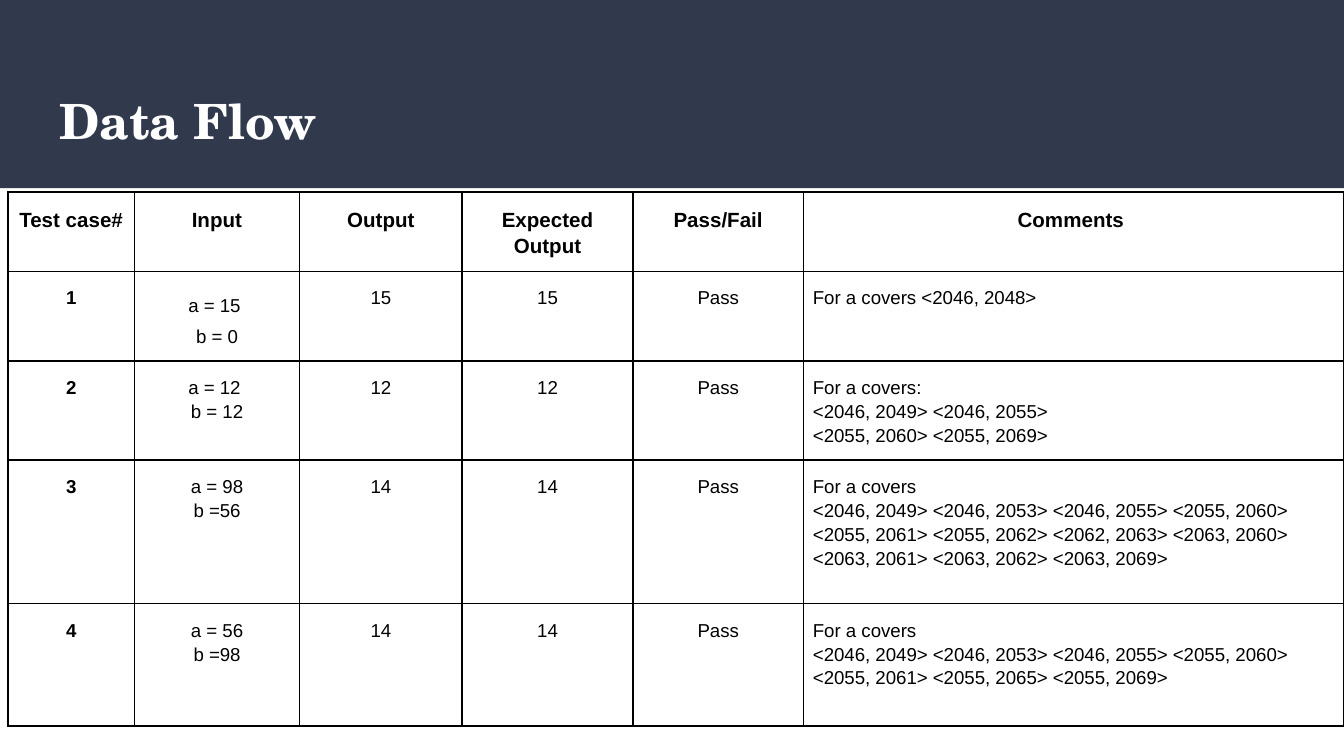
from copy import deepcopy
from dataclasses import dataclass

from lxml.etree import SubElement
from pptx import Presentation
from pptx.dml.color import RGBColor
from pptx.enum.shapes import MSO_SHAPE
from pptx.enum.text import MSO_ANCHOR, PP_ALIGN
from pptx.oxml.ns import qn
from pptx.slide import Slide
from pptx.table import _Cell
from pptx.text.text import TextFrame
from pptx.util import Inches, Pt


@dataclass(frozen=True)
class Theme:
    """Colours, fonts and type sizes of the slide."""

    band: str = "31394D"
    light: str = "FFFFFF"
    ink: str = "000000"
    title_font: str = "TeX Gyre Schola"
    body_font: str = "Arial"
    title_size: float = 26
    header_size: float = 11
    body_size: float = 10
    border_width: float = 1


@dataclass(frozen=True)
class TestCase:
    """One row of the test table."""

    number: int
    inputs: str
    output: int
    comments: str
    input_spacing: float = 1.15


THEME = Theme()
HEADERS = ("Test case#", "Input", "Output", "Expected Output", "Pass/Fail", "Comments ")
COLUMN_WIDTHS = (0.94, 1.23, 1.21, 1.27, 1.27, 4.02)
ROW_HEIGHTS = (0.56, 0.58, 0.7, 1.07, 0.91)
TEST_CASES = (
    TestCase(1, "a = 15 \nb = 0", 15, "For a covers <2046, 2048>", 1.5),
    TestCase(
        2, "a = 12 \nb = 12", 12,
        "For a covers:\n<2046, 2049> <2046, 2055> \n<2055, 2060> <2055, 2069>",
    ),
    TestCase(
        3, "a = 98\nb =56", 14,
        "For a covers\n<2046, 2049> <2046, 2053> <2046, 2055> <2055, 2060> "
        "<2055, 2061> <2055, 2062> <2062, 2063> <2063, 2060> "
        "<2063, 2061> <2063, 2062> <2063, 2069>",
    ),
    TestCase(
        4, "a = 56\nb =98", 14,
        "For a covers\n<2046, 2049> <2046, 2053> <2046, 2055> <2055, 2060> "
        "<2055, 2061> <2055, 2065> <2055, 2069>",
    ),
)


def write_text(
    frame: TextFrame,
    text: str,
    *,
    size: float = THEME.body_size,
    font: str = THEME.body_font,
    color: str = THEME.ink,
    bold: bool = False,
    align: PP_ALIGN = PP_ALIGN.CENTER,
    line_spacing: float = 1.15,
    space: float = 12,
) -> None:
    """Fill a text frame with one formatted paragraph."""
    paragraph = frame.paragraphs[0]
    paragraph.text = text
    paragraph.alignment = align
    paragraph.line_spacing = line_spacing
    paragraph.space_before = paragraph.space_after = Pt(space)
    for run in paragraph.runs:
        run.font.name = font
        run.font.size = Pt(size)
        run.font.bold = bold
        run.font.color.rgb = RGBColor.from_string(color)
    for line_break in paragraph._p.findall(qn("a:br")):
        line_break.append(deepcopy(paragraph.runs[0]._r.rPr))


def format_cell(cell: _Cell) -> None:
    """Give a cell its margins, thin borders and plain fill."""
    cell.margin_left = cell.margin_right = Inches(0.07)
    cell.margin_top = cell.margin_bottom = Inches(0.1)
    cell.vertical_anchor = MSO_ANCHOR.TOP
    properties = cell._tc.get_or_add_tcPr()
    for side in ("a:lnL", "a:lnR", "a:lnT", "a:lnB"):
        line = SubElement(properties, qn(side), w=str(Pt(THEME.border_width)))
        fill = SubElement(line, qn("a:solidFill"))
        SubElement(fill, qn("a:srgbClr"), val=THEME.ink)
    cell.fill.background()


def add_heading(slide: Slide, text: str) -> None:
    """Place the title on a dark band."""
    band = slide.shapes.add_shape(MSO_SHAPE.RECTANGLE, 0, 0, Inches(10), Inches(1.4))
    band.shadow.inherit = False
    band.fill.solid()
    band.fill.fore_color.rgb = RGBColor.from_string(THEME.band)
    band.line.fill.background()

    title = slide.shapes.title
    title._element.addprevious(band._element)
    title.left, title.top = Inches(0.34), Inches(0.58)
    title.width, title.height = Inches(9.32), Inches(0.68)
    frame = title.text_frame
    frame.margin_left = frame.margin_right = Inches(0.1)
    frame.margin_top = frame.margin_bottom = Inches(0.1)
    frame.vertical_anchor = MSO_ANCHOR.TOP
    frame.word_wrap = True
    write_text(
        frame, text, size=THEME.title_size, font=THEME.title_font,
        color=THEME.light, bold=True, align=PP_ALIGN.LEFT, line_spacing=1.0, space=0,
    )


def add_test_table(slide: Slide, test_cases: tuple[TestCase, ...]) -> None:
    """Draw the header and one row for each test case."""
    table = slide.shapes.add_table(
        len(ROW_HEIGHTS), len(COLUMN_WIDTHS), Inches(0.06), Inches(1.43),
        Inches(sum(COLUMN_WIDTHS)), Inches(sum(ROW_HEIGHTS)),
    ).table
    table.first_row = table.horz_banding = False
    for column, width in zip(table.columns, COLUMN_WIDTHS):
        column.width = Inches(width)
    for row, height in zip(table.rows, ROW_HEIGHTS):
        row.height = Inches(height)
    for cell in table.iter_cells():
        format_cell(cell)

    for column, header in enumerate(HEADERS):
        write_text(table.cell(0, column).text_frame, header, size=THEME.header_size, bold=True)
    for row, case in enumerate(test_cases, start=1):
        frames = [cell.text_frame for cell in table.rows[row].cells]
        write_text(frames[0], str(case.number), bold=True)
        write_text(frames[1], case.inputs, line_spacing=case.input_spacing)
        for frame in frames[2:4]:
            write_text(frame, str(case.output))
        write_text(frames[4], "Pass")
        write_text(frames[5], case.comments, align=PP_ALIGN.LEFT)


def main() -> None:
    """Build and save the presentation."""
    presentation = Presentation()
    presentation.slide_width = Inches(10)
    presentation.slide_height = presentation.slide_width * 9 // 16
    slide = presentation.slides.add_slide(presentation.slide_layouts.get_by_name("Title Only"))
    add_heading(slide, "Data Flow")
    add_test_table(slide, TEST_CASES)
    presentation.save("out.pptx")


if __name__ == "__main__":
    main()
